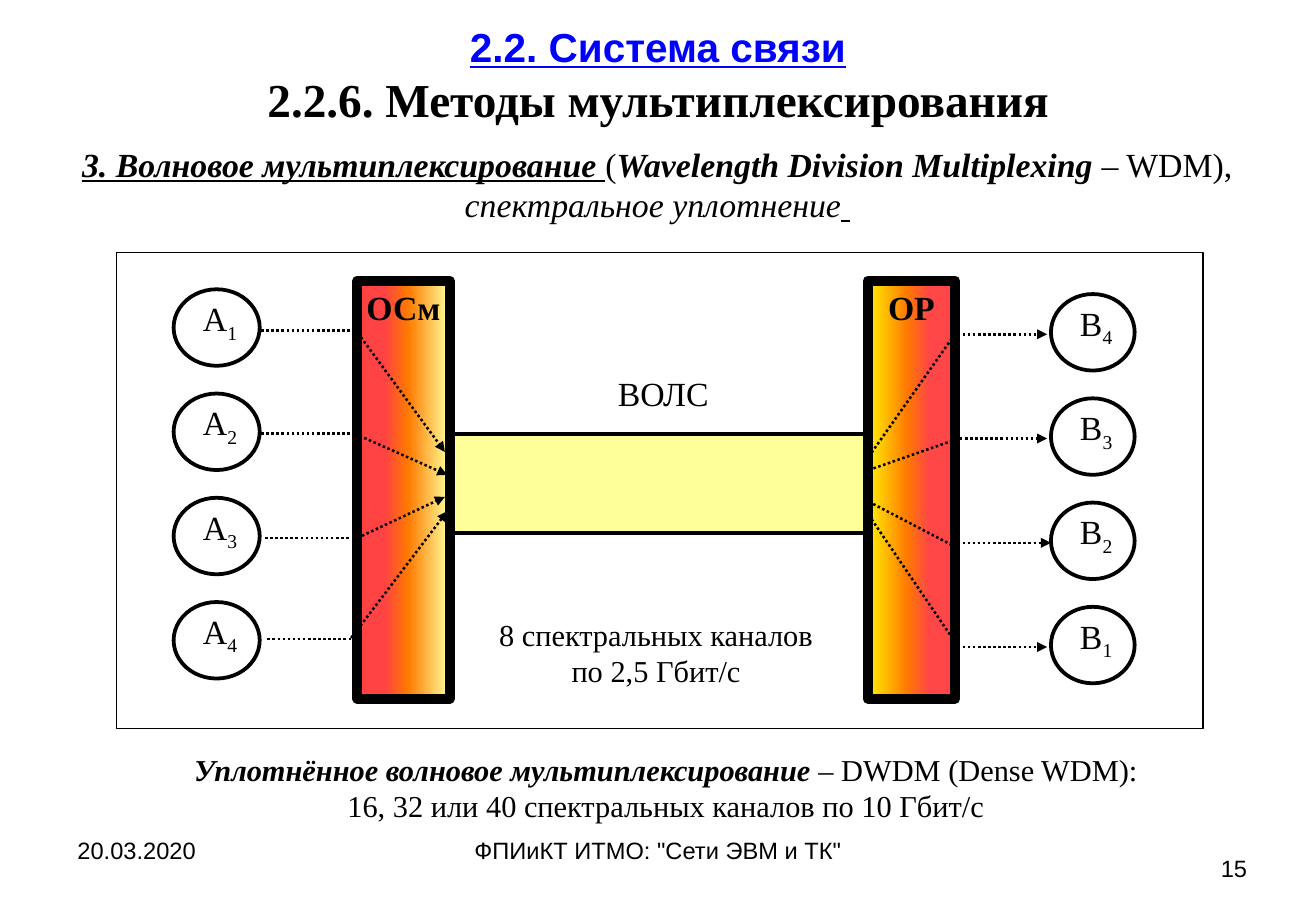
"""Build the slide on wavelength division multiplexing."""
from copy import deepcopy

from lxml import etree
from pptx import Presentation
from pptx.dml.color import RGBColor
from pptx.enum.dml import MSO_LINE
from pptx.enum.shapes import MSO_CONNECTOR, MSO_SHAPE
from pptx.enum.text import MSO_ANCHOR, PP_ALIGN
from pptx.oxml.ns import qn
from pptx.util import Cm, Pt

RECTANGLE, ELLIPSE = MSO_SHAPE.RECTANGLE, MSO_SHAPE.OVAL
STRAIGHT, DOTTED = MSO_CONNECTOR.STRAIGHT, MSO_LINE.ROUND_DOT
LEFT, CENTER, RIGHT = PP_ALIGN.LEFT, PP_ALIGN.CENTER, PP_ALIGN.RIGHT
TOP, MIDDLE = MSO_ANCHOR.TOP, MSO_ANCHOR.MIDDLE
SERIF, SANS = "Times New Roman", "Arial"
COLORS = {
    "ink": "000000", "link": "0000FF", "white": "FFFFFF", "fiber": "FFFF99",
    "orange": "FF7A00", "red": "FF4747", "yellow": "FFF200", "coral": "FF4343",
}
RGB = {name: RGBColor.from_string(value) for name, value in COLORS.items()}
ROW_STEP = 2.18


def write(host, paragraphs, size, font=SERIF, align=CENTER, anchor=TOP, inset=(0.25, 0.13)):
    """Fill a shape with runs given as (text, style letters b, i, u, s for subscript)."""
    frame = host.text_frame
    frame.word_wrap = True
    frame.vertical_anchor = anchor
    frame.margin_left = frame.margin_right = Cm(inset[0])
    frame.margin_top = frame.margin_bottom = Cm(inset[1])
    for index, runs in enumerate(paragraphs):
        paragraph = frame.add_paragraph() if index else frame.paragraphs[0]
        paragraph.alignment = align
        for text, style in runs:
            run = paragraph.add_run()
            run.text = text
            run.font.name, run.font.size = font, Pt(size)
            run.font.color.rgb = RGB["ink"]
            run.font.bold, run.font.italic = "b" in style, "i" in style
            run.font.underline = "u" in style
            if "s" in style:
                run.font._element.set("baseline", "-25000")


def draw_signal(x1, y1, x2, y2, arrow=False):
    """Draw a dotted signal line, with an arrowhead at its end if asked."""
    signal = slide.shapes.add_connector(STRAIGHT, Cm(x1), Cm(y1), Cm(x2), Cm(y2))
    signal.line.color.rgb = RGB["ink"]
    signal.line.width = Pt(1.5)
    signal.line.dash_style = DOTTED
    properties = signal._element.spPr
    if arrow:
        etree.SubElement(properties.find(qn("a:ln")), qn("a:tailEnd"), type="triangle")
    etree.SubElement(properties, qn("a:effectLst"))


presentation = Presentation()
presentation.slide_width, presentation.slide_height = Cm(27.51), Cm(19.05)
slide = presentation.slides.add_slide(presentation.slide_layouts[6])

heading = slide.shapes.add_textbox(Cm(1.37), Cm(-0.03), Cm(24.77), Cm(3.18))
write(heading, [[("2.2. Система связи", "bu")],
                [("2.2.6. Методы мультиплексирования", "b")]], 28, anchor=MIDDLE)
section = heading.text_frame.paragraphs[0].runs[0].font
section.name, section.size, section.color.rgb = SANS, Pt(24), RGB["link"]

frame_and_fiber = [
    ((2.44, 5.28, 22.71, 9.96), None, 0.75),
    ((9.42, 9.07, 8.79, 2.08), "fiber", 2.25),
]
for box, color, width in frame_and_fiber:
    area = slide.shapes.add_shape(RECTANGLE, *map(Cm, box))
    area.shadow.inherit = False
    area.line.color.rgb, area.line.width = RGB["ink"], Pt(width)
    if color:
        area.fill.solid()
        area.fill.fore_color.rgb = RGB[color]
    else:
        area.fill.background()

couplers = [
    ("ОСм", 7.47, 1.93, 180, ("fiber", "orange", "coral")),
    ("ОР", 18.14, 1.83, 0, ("yellow", "orange", "red")),
]
for name, left, width, angle, colors in couplers:
    coupler = slide.shapes.add_shape(RECTANGLE, Cm(left), Cm(5.87), Cm(width), Cm(8.74))
    coupler.shadow.inherit = False
    coupler.line.color.rgb, coupler.line.width = RGB["ink"], Pt(6)
    coupler.fill.gradient()
    coupler.fill.gradient_angle = angle
    stop_list = coupler._element.spPr.find(qn("a:gradFill")).find(qn("a:gsLst"))
    stop_list.append(deepcopy(stop_list[0]))
    for stop, position, color in zip(coupler.fill.gradient_stops, (0, 0.45, 0.7), colors):
        stop.position, stop.color.rgb = position, RGB[color]
    write(coupler, [[(name, "b")]], 20, inset=(0.05, 0.13))

stations = [("А", "1234", 3.63, 6.05, 1.8), ("B", "4321", 21.97, 6.15, 1.75)]
for letter, numbers, left, first_top, width in stations:
    for row, number in enumerate(numbers):
        top = first_top + row * ROW_STEP
        station = slide.shapes.add_shape(ELLIPSE, Cm(left), Cm(top), Cm(width), Cm(1.6))
        station.shadow.inherit = False
        station.fill.solid()
        station.fill.fore_color.rgb = RGB["white"]
        station.line.color.rgb, station.line.width = RGB["ink"], Pt(2.25)
        label = slide.shapes.add_textbox(Cm(left + 0.05), Cm(top + 0.18), Cm(width + 0.04), Cm(1.32))
        write(label, [[(letter, ""), (number, "s")]], 20, inset=(0, 0))

for start, y in [(5.46, 6.91), (5.46, 9.07), (5.54, 11.25), (5.59, 13.36)]:
    draw_signal(start, y, 7.34, y)
for row, (start, end) in enumerate([(20.02, 21.89), (19.96, 21.89), (19.91, 21.97), (20.02, 21.89)]):
    y = 6.99 + row * ROW_STEP
    draw_signal(start, y, end, y, arrow=True)

merging = [(7.42, 6.88, 9.3, 9.45), (7.42, 9.07, 9.35, 9.93),
           (7.47, 11.25, 9.3, 10.39), (7.34, 13.34, 9.35, 10.69)]
splitting = [(18.16, 9.55, 19.96, 6.99), (18.16, 9.83, 20.04, 9.17),
             (18.16, 10.49, 19.96, 11.43), (18.16, 10.77, 20.04, 13.54)]
for path_ends in merging:
    draw_signal(*path_ends, arrow=True)
for path_ends in splitting:
    draw_signal(*path_ends)

captions = [
    ((0.76, 2.87, 25.96, 1.96), 20, SERIF, CENTER, [[
        ("3. Волновое мультиплексирование ", "biu"), ("(", ""),
        ("Wavelength Division Multiplexing", "bi"), (" – WDM), ", ""),
        ("спектральное уплотнение", "i"), (" ", "biu")]]),
    ((10.92, 7.67, 5.89, 1.32), 20, SERIF, CENTER, [[("ВОЛС", "")]]),
    ((9.93, 12.75, 7.57, 1.8), 18, SERIF, CENTER,
     [[("8 спектральных каналов по 2,5 Гбит/с", "")]]),
    ((1.78, 15.57, 24.28, 1.8), 18, SERIF, CENTER, [
        [("Уплотнённое волновое мультиплексирование", "bi"), (" – DWDM (Dense WDM):", "")],
        [("16, 32 или 40 спектральных каналов по 10 Гбит/с", "")]]),
    ((1.37, 17.35, 6.43, 1.32), 14, SANS, LEFT, [[("20.03.2020", "")]]),
    ((9.4, 17.35, 8.71, 1.32), 14, SANS, CENTER, [[('ФПИиКТ ИТМО: "Сети ЭВМ и ТК"', "")]]),
    ((19.89, 17.73, 6.43, 1.32), 14, SANS, RIGHT, [[("15", "")]]),
]
for box, size, font, align, paragraphs in captions:
    write(slide.shapes.add_textbox(*map(Cm, box)), paragraphs, size, font, align)

presentation.save("out.pptx")
